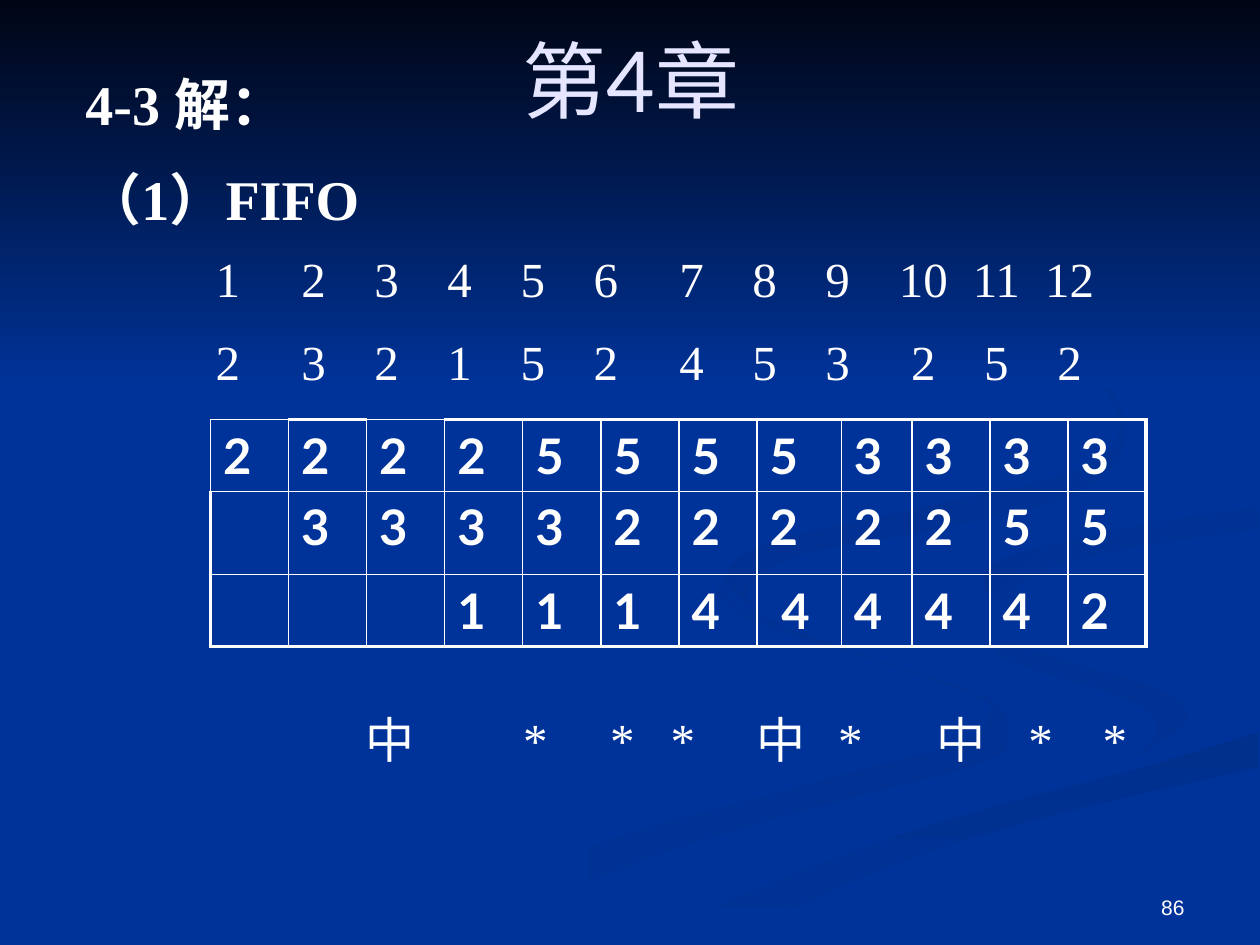
from pptx import Presentation
from pptx import util as u
from pptx.dml.color import RGBColor
from pptx.enum import text
from pptx.oxml.ns import qn
from lxml import etree

WHITE, NIGHT, BLUE = "FFFFFF", "000514", "003399"
SERIF, SANS = "Times New Roman", "Lato"
UNITS = 1000
STEPS = 6

PAGES = "232152453252"
FRAMES = [
    ["2", "2", "2", "2", "5", "5", "5", "5", "3", "3", "3", "3"],
    ["", "3", "3", "3", "3", "2", "2", "2", "2", "2", "5", "5"],
    ["", "", "", "1", "1", "1", "4", " 4", "4", "4", "4", "2"],
]
THIN_CELLS = [(0, 0), (0, 2)]
MARKS = "中***中*中**"
MARK_TABS = [1.33, 2.48, 3.17, 3.65, 4.43, 4.98, 5.86, 6.49, 7.08]

LEFT_INNER = [(5.75, 4.6), (5.94, 4.85), (6.82, 5.19), (7.81, 5.53), (8, 5.8),
              (7.8, 6.05), (6.5, 6.4), (5, 6.87), (3.61, 7.49)]
LEFT_OUTER = [(5.75, 4.6), (5.7, 4.72), (6.02, 4.95), (6.97, 5.25), (7.76, 5.53),
              (7.85, 5.7), (7.6, 5.9), (6.5, 6.2), (4.6, 6.74), (3, 7.49)]
BEND = [(7.24, 4.64), (7.45, 4.9), (8.3, 5.19), (9.19, 5.47), (9.43, 5.7)]
BEND_INNER = [(7.24, 4.64), (7.39, 4.94), (8.15, 5.3), (9, 5.57), (9.18, 5.81), (8.94, 6.05)]
RIVER_TOP = [(9.99, 3.87), (8.5, 4.11), (7.6, 4.3)]
RIVER_END = [(9.19, 5.97), (7.43, 6.43), (6.19, 6.84), (4.77, 7.49)]
ISLAND = [(9.99, 4.02), (8.98, 4.18), (8, 4.42), (7.81, 4.6), (7.91, 4.78), (8.26, 4.96)]
ISLAND_INNER = [(9.99, 4.2), (8.96, 4.35), (8.28, 4.53), (8.05, 4.74), (8.26, 4.96)]
ISLAND_END = [(9.04, 5.19), (9.99, 5.38)]
SHORE = [(9.99, 5.81), (9.03, 6.1), (7.64, 6.47), (6.3, 6.93), (5.03, 7.49)]
SHORE_LOWER = [(9.99, 6.09), (8.2, 6.51), (6.95, 6.92), (5.71, 7.49)]
TOP_OUTER = [(7.62, 2.33), (8.43, 2.75), (8.86, 3.16), (8.89, 3.62), (8.41, 3.96),
             (7.39, 4.21), (6.35, 4.4), (5.93, 4.7), (6.22, 5)]
TOP_INNER = [(7.62, 2.33), (8.46, 2.79), (8.89, 3.35), (8.52, 3.74), (7.04, 4.09),
             (6.05, 4.33), (5.77, 4.62), (6.22, 5)]


def rgb(value):
    """Return the colour for a hex string."""
    return RGBColor.from_string(value)


def smooth(knots):
    """Return points on a Catmull-Rom curve through the knots."""
    padded = [knots[0], *knots, knots[-1]]
    curve = []
    for a, b, c, d in zip(padded, padded[1:], padded[2:], padded[3:]):
        for t in (step / STEPS for step in range(STEPS)):
            curve.append(tuple(
                q + t * (r - p) / 2 + t**2 * (2 * p - 5 * q + 4 * r - e) / 2
                + t**3 * (3 * q - p - 3 * r + e) / 2
                for p, q, r, e in zip(a, b, c, d)))
    return curve + [knots[-1]]


def ribbon(edge, other):
    """Return the outline between two curved edges that run the same way."""
    return smooth(edge) + smooth(other)[::-1]


def add_area(s, outline, colours, angle=0):
    """Draw a closed outline in inches, plain or shaded clockwise from the angle."""
    points = [(round(x * UNITS), round(y * UNITS)) for x, y in outline]
    builder = s.shapes.build_freeform(*points[0], scale=u.Inches(1) / UNITS)
    builder.add_line_segments(points[1:], close=True)
    sp = builder.convert_to_shape()
    sp.shadow.inherit = False
    sp.line.fill.background()
    if len(colours) == 1:
        sp.fill.solid()
        sp.fill.fore_color.rgb = rgb(colours[0])
        return
    sp.fill.gradient()
    sp.fill.gradient_angle = (360 - angle) % 360
    for stop, colour in zip(sp.fill.gradient_stops, colours):
        stop.color.rgb = rgb(colour)


def add_backdrop(s):
    """Draw the winding ribbons and the dark sky above them."""
    river = smooth(RIVER_TOP + BEND + RIVER_END)
    far_bank = smooth(ISLAND + ISLAND_END) + smooth(SHORE)
    add_area(s, ribbon(LEFT_INNER, LEFT_OUTER), [BLUE, "003193"])
    add_area(s, ribbon(BEND + BEND_INNER[-1:], BEND_INNER), [BLUE, "003193"], 45)
    add_area(s, ribbon(SHORE, SHORE_LOWER), ["002F8C", BLUE], 90)
    add_area(s, river + far_bank[::-1], [BLUE])
    add_area(s, ribbon(ISLAND, ISLAND_INNER), ["003091", BLUE], 45)
    add_area(s, ribbon(TOP_OUTER, TOP_INNER), ["002F8E", BLUE], 45)
    add_area(s, [(0, 0), (0, 3.08), (10, 3.08), (10, 0)], [NIGHT, BLUE], 90)


def style(p, size, face, colour=WHITE, bold=False):
    """Set the font of a whole paragraph."""
    p.font.size = u.Pt(size)
    p.font.name = face
    p.font.bold = bold
    p.font.color.rgb = rgb(colour)


def add_tabs(p, stops):
    """Give a paragraph centred tab stops."""
    tabs = etree.SubElement(p._p.get_or_add_pPr(), qn("a:tabLst"))
    for stop in stops:
        etree.SubElement(tabs, qn("a:tab"), pos=str(u.Inches(stop)), algn="ctr")


def add_text(s, box, lines, size, face, colour=WHITE, bold=False, gap=0, tabs=(),
             align=text.PP_ALIGN.LEFT, anchor=text.MSO_ANCHOR.TOP):
    """Add a text box with one paragraph a line."""
    tf = s.shapes.add_textbox(*map(u.Inches, box)).text_frame
    tf.word_wrap = True
    tf.vertical_anchor = anchor
    for i, line in enumerate(lines):
        p = tf.add_paragraph() if i else tf.paragraphs[0]
        p.text = line
        p.alignment = align
        if i:
            p.space_before = u.Pt(gap)
        if tabs:
            add_tabs(p, tabs)
        style(p, size, face, colour, bold)


def tabbed(items):
    """Put a tab before every item."""
    return "".join(f"\t{item}" for item in items)


def column_tabs():
    """Return twelve even stops, with a wider gap before the 2nd, 7th and 10th."""
    return [0.29 + 0.58 * i + 0.1 * sum(i >= wide for wide in (1, 6, 9)) for i in range(12)]


def add_border(cell, side, width):
    """Draw one side of a cell in white."""
    ln = etree.SubElement(cell._tc.get_or_add_tcPr(), qn("a:ln" + side), w=str(u.Pt(width)))
    fill = etree.SubElement(ln, qn("a:solidFill"))
    etree.SubElement(fill, qn("a:srgbClr"), val=WHITE)


def add_frames(s):
    """Add the table of page frames with a heavy outer border."""
    widths = [0.62] * 7 + [0.67, 0.56] + [0.62] * 3
    heights = [0.57, 0.66, 0.57]
    box = (1.67, 3.33, sum(widths), sum(heights))
    table = s.shapes.add_table(len(heights), len(widths), *map(u.Inches, box)).table
    table.first_row = table.horz_banding = False
    for column, width in zip(table.columns, widths):
        column.width = u.Inches(width)
    for i, (row, height) in enumerate(zip(table.rows, heights)):
        row.height = u.Inches(height)
        for j, cell in enumerate(row.cells):
            outer = {"L": j == 0, "R": j == len(widths) - 1,
                     "T": i == 0, "B": i == len(heights) - 1}
            for side, edge in outer.items():
                add_border(cell, side, 2.25 if edge and (i, j) not in THIN_CELLS else 1)
            cell.fill.background()
            cell.text = FRAMES[i][j]
            style(cell.text_frame.paragraphs[0], 28, SANS, bold=True)


def main():
    """Build the slide and save it."""
    prs = Presentation()
    prs.slide_width, prs.slide_height = u.Inches(10), u.Inches(7.5)
    s = prs.slides.add_slide(prs.slide_layouts[6])
    s.background.fill.solid()
    s.background.fill.fore_color.rgb = rgb(BLUE)
    add_backdrop(s)
    add_text(s, (7.17, 6.83, 2.33, 0.52), ["86"], 12, "Arial",
             align=text.PP_ALIGN.RIGHT, anchor=text.MSO_ANCHOR.BOTTOM)
    add_text(s, (0.58, 0.5, 3, 1.43), ["4-3 解：", "（1）FIFO"], 32, SERIF, bold=True, gap=16)
    add_frames(s)
    add_text(s, (1.42, 1.92, 7.5, 1.27), [tabbed(range(1, 13)), tabbed(PAGES)],
             28, SERIF, gap=14, tabs=column_tabs())
    add_text(s, (1.67, 5.58, 7.42, 0.57), [tabbed(MARKS)], 28, SERIF, tabs=MARK_TABS)
    add_text(s, (0.51, 0, 9, 1.25), ["第4章"], 48, SANS, "E5E5FF",
             align=text.PP_ALIGN.CENTER, anchor=text.MSO_ANCHOR.MIDDLE)
    prs.save("out.pptx")


if __name__ == "__main__":
    main()
